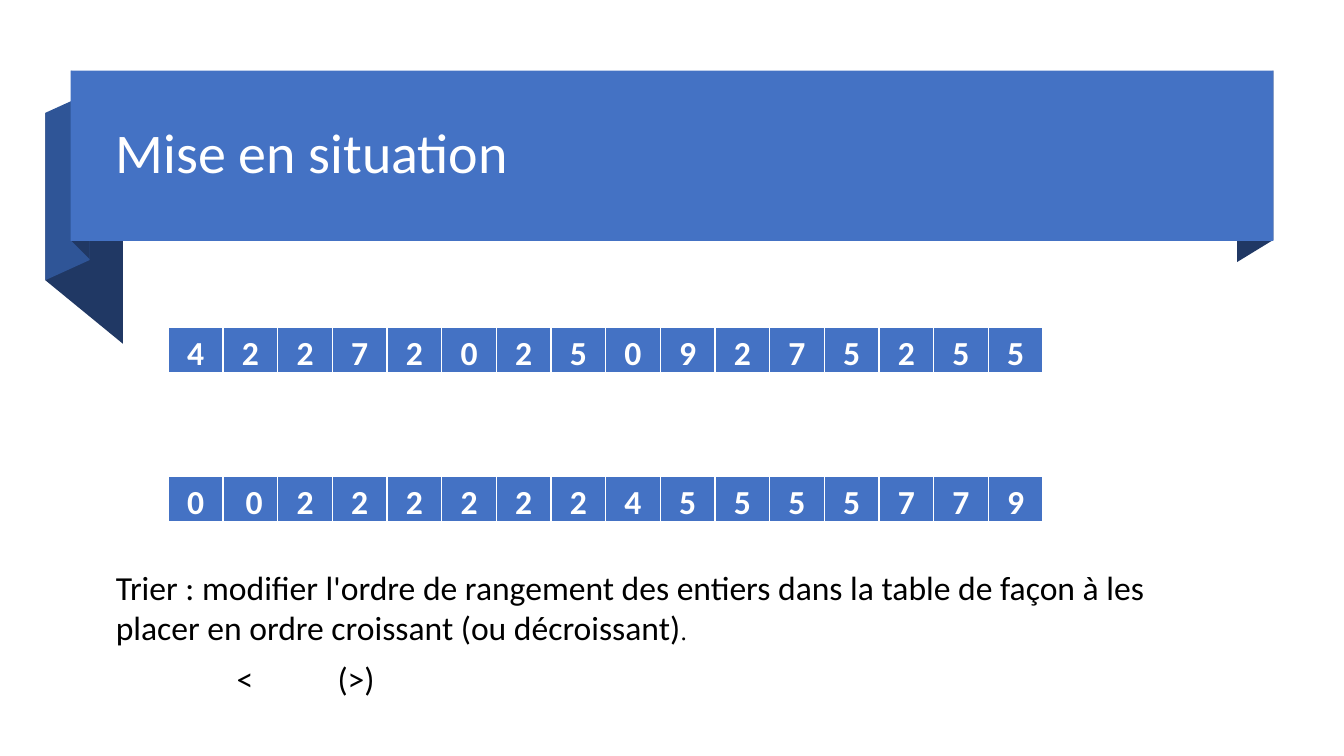
"""Build the slide that introduces sorting with an unsorted and a sorted table."""
import pptx
import pptx.dml.color
import pptx.enum.shapes
import pptx.enum.text
import pptx.oxml
import pptx.oxml.ns
import pptx.util

PX = 9144
COLORS = {"blue": "4472C4", "fold": "2F5597", "navy": "203864", "white": "FFFFFF", "black": "000000"}
RIBBON_FOLDS = [
    ("navy", [(122, 341), (45, 278), (45, 112), (122, 175)]),
    ("fold", [(89, 258), (45, 278), (45, 112), (89, 92)]),
    ("navy", [(89, 257), (71, 239), (71, 70), (89, 89)]),
    ("navy", [(1263, 238), (1227, 260), (1227, 91), (1263, 70)]),
]
UNSORTED = list("4227202509275255")
SORTED = ["0", " 0", *"2222245555779"]
SORTED.insert(2, "2")


def rgb(color):
    return pptx.dml.color.RGBColor.from_string(COLORS[color])


def add_text(paragraph, text, size=24, font="Calibri", color="black", bold=False):
    run = paragraph.add_run()
    run.text = text
    run.font.size = pptx.util.Pt(size)
    run.font.name = font
    run.font.bold = bold
    run.font.color.rgb = rgb(color)


class SlideBuilder:
    def __init__(self, width, height):
        self.presentation = pptx.Presentation()
        self.presentation.slide_width = width * PX
        self.presentation.slide_height = height * PX
        self.slide = self.presentation.slides.add_slide(self.presentation.slide_layouts[6])

    def paint(self, shape, color):
        shape.shadow.inherit = False
        shape.fill.solid()
        shape.fill.fore_color.rgb = rgb(color)
        shape.line.fill.background()

    def polygon(self, points, color):
        builder = self.slide.shapes.build_freeform(*points[0], scale=PX)
        builder.add_line_segments(points[1:], close=True)
        self.paint(builder.convert_to_shape(), color)

    def rectangle(self, left, top, width, height, color):
        shape = self.slide.shapes.add_shape(
            pptx.enum.shapes.MSO_SHAPE.RECTANGLE, left * PX, top * PX, width * PX, height * PX)
        self.paint(shape, color)

    def text_box(self, left, top, width, height, middle=False):
        box = self.slide.shapes.add_textbox(left * PX, top * PX, width * PX, height * PX)
        frame = box.text_frame
        frame.word_wrap = True
        if middle:
            frame.vertical_anchor = pptx.enum.text.MSO_ANCHOR.MIDDLE
        return frame.paragraphs[0]

    def tab_stops(self, paragraph, positions):
        stops = pptx.oxml.ns.qn("a:tabLst")
        properties = paragraph._p.get_or_add_pPr()
        tab_list = properties.makeelement(stops, {})
        properties.append(tab_list)
        for position in positions:
            tab = tab_list.makeelement(
                pptx.oxml.ns.qn("a:tab"), {"pos": str(position * PX), "algn": "l"})
            tab_list.append(tab)

    def cell_borders(self, cell):
        properties = cell._tc.get_or_add_tcPr()
        for side, points in (("L", 1), ("R", 1), ("T", 1), ("B", 3)):
            properties.append(pptx.oxml.parse_xml(
                f'<a:ln{side} {pptx.oxml.ns.nsdecls("a")} w="{pptx.util.Pt(points)}">'
                f'<a:solidFill><a:srgbClr val="{COLORS["white"]}"/></a:solidFill></a:ln{side}>'))

    def number_row(self, left, top, width, height, numbers):
        table = self.slide.shapes.add_table(
            1, len(numbers), left * PX, top * PX, width * PX, height * PX).table
        for cell, number in zip(table.iter_cells(), numbers):
            cell.margin_left = cell.margin_right = 7 * PX
            cell.margin_top = cell.margin_bottom = 0
            self.cell_borders(cell)
            cell.fill.solid()
            cell.fill.fore_color.rgb = rgb("blue")
            paragraph = cell.text_frame.paragraphs[0]
            paragraph.alignment = pptx.enum.text.PP_ALIGN.CENTER
            paragraph.line_spacing = 1.15
            paragraph.space_after = pptx.util.Pt(6)
            add_text(paragraph, number, color="white", bold=True)


def main():
    builder = SlideBuilder(1333, 750)
    for color, points in RIBBON_FOLDS:
        builder.polygon(points, color)
    builder.rectangle(70, 70, 1193, 169, "blue")

    title = builder.text_box(105, 88, 1123, 133, middle=True)
    title.line_spacing = 0.9
    add_text(title, "Mise en situation", size=40, color="white")

    for top, numbers in ((325, UNSORTED), (473, SORTED)):
        builder.number_row(167, top, 868, 43, numbers)

    definition = builder.text_box(105, 557, 1083, 91)
    add_text(definition, "Trier : modifier l'ordre de rangement des entiers dans la table "
                         "de façon à les placer en ordre croissant (ou décroissant)")
    add_text(definition, ".", size=18, font="Times New Roman")

    symbols = builder.text_box(125, 648, 1083, 50)
    builder.tab_stops(symbols, (100, 200))
    add_text(symbols, "\t<\t(>)")

    builder.presentation.save("out.pptx")


if __name__ == "__main__":
    main()
